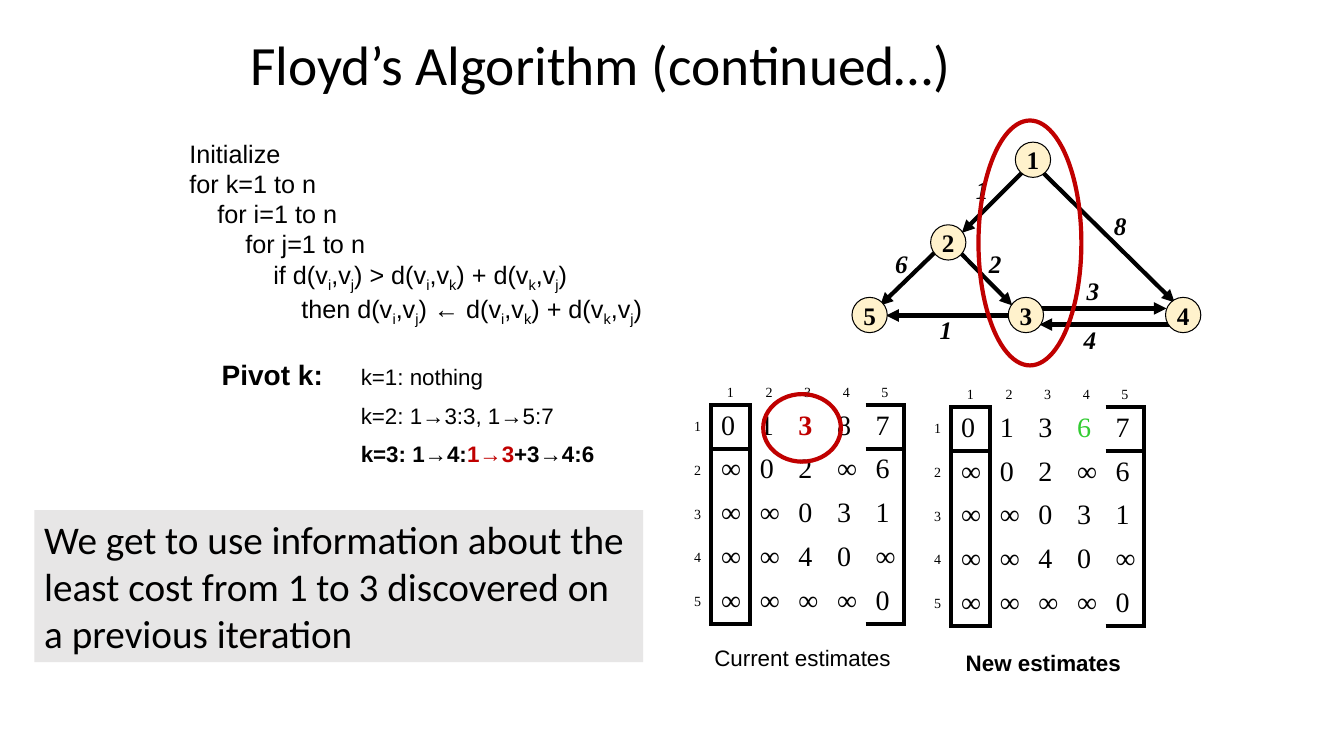
from lxml import etree
from pptx import Presentation
from pptx.dml.color import RGBColor
from pptx.enum.shapes import MSO_CONNECTOR, MSO_SHAPE
from pptx.enum.text import MSO_ANCHOR, MSO_AUTO_SIZE, PP_ALIGN
from pptx.oxml.ns import qn
from pptx.util import Inches, Pt

OVAL, RECTANGLE = MSO_SHAPE.OVAL, MSO_SHAPE.RECTANGLE
STRAIGHT = MSO_CONNECTOR.STRAIGHT
TOP, MIDDLE, BOTTOM = MSO_ANCHOR.TOP, MSO_ANCHOR.MIDDLE, MSO_ANCHOR.BOTTOM
LEFT, CENTER, RIGHT = PP_ALIGN.LEFT, PP_ALIGN.CENTER, PP_ALIGN.RIGHT
BLACK = RGBColor(0x00, 0x00, 0x00)
WHITE = RGBColor(0xFF, 0xFF, 0xFF)
RED = RGBColor(0xC0, 0x00, 0x00)
GREEN = RGBColor(0x33, 0xCC, 0x33)
CREAM = RGBColor(0xFF, 0xF2, 0xCC)
GREY = RGBColor(0xE7, 0xE6, 0xE6)
PLAIN_TABLE = "{2D5ABB26-0587-4C30-8999-92F81FD0307C}"

HEADING = {"name": "Calibri", "size": Pt(39.6), "bold": False}
CALLOUT = {"name": "Calibri", "size": Pt(28)}
CODE = {"name": "Arial", "size": Pt(18)}
NOTE = {"name": "Arial", "size": Pt(16)}
BOLD_NOTE = {**NOTE, "bold": True}
PIVOT = {"name": "Arial", "size": Pt(20), "bold": True}
NODE = {"name": "Times New Roman", "size": Pt(18), "bold": True}
WEIGHT = {**NODE, "italic": True}
INDEX = {"name": "Times New Roman", "size": Pt(10)}
ENTRY = {"name": "Times New Roman", "size": Pt(20), "bold": False}


def add_span(para, text, look, color=BLACK):
    span = para.add_run()
    span.text = text
    for name, value in look.items():
        setattr(span.font, name, value)
    span.font.color.rgb = color
    return span


def add_box(shapes, left, top, width, height):
    box = shapes.add_textbox(Inches(left), Inches(top), Inches(width), Inches(height))
    box.text_frame.word_wrap = True
    return box.text_frame


deck = Presentation()
deck.slide_width, deck.slide_height = Inches(13.33), Inches(7.5)
page = deck.slides.add_slide(deck.slide_layouts[5])

title = page.shapes.title
title.left, title.top, title.width, title.height = map(Inches, (2.38, 0.37, 8.5, 0.59))
title.text_frame.auto_size = MSO_AUTO_SIZE.NONE
title.text_frame.vertical_anchor = MIDDLE
title_para = title.text_frame.paragraphs[0]
title_para.alignment, title_para.line_spacing = LEFT, 0.9
add_span(title_para, "Floyd’s Algorithm (continued…)", HEADING)

# An underscore puts the next letter below the line
code_lines = [
    "Initialize",
    "for k=1 to n",
    "    for i=1 to n",
    "        for j=1 to n",
    "            if d(v_i,v_j) > d(v_i,v_k) + d(v_k,v_j)",
    "                then d(v_i,v_j) ← d(v_i,v_k) + d(v_k,v_j)",
]
code_frame = add_box(page.shapes, 1.78, 1.32, 6.41, 1.9)
for number, line in enumerate(code_lines):
    para = code_frame.add_paragraph() if number else code_frame.paragraphs[0]
    start, *pieces = line.split("_")
    add_span(para, start, CODE)
    for piece in pieces:
        subscript = add_span(para, piece[0], CODE)
        subscript._r.get_or_add_rPr().set("baseline", "-25000")
        add_span(para, piece[1:], CODE)

notes = [
    (2.1, 3.5, 1.22, 0.43, PIVOT, LEFT, [("Pivot k:", BLACK)]),
    (3.48, 3.55, 3.74, 0.37, NOTE, LEFT, [("k=1: nothing", BLACK)]),
    (3.48, 3.94, 4.24, 0.37, NOTE, LEFT, [("k=2: 1→3:3, 1→5:7", BLACK)]),
    (3.48, 4.32, 3.12, 0.37, BOLD_NOTE, LEFT,
     [("k=3: 1→4:", BLACK), ("1→3", RED), ("+3→4:6", BLACK)]),
    (6.96, 6.34, 2, 0.37, NOTE, CENTER, [("Current estimates", BLACK)]),
    (9.48, 6.39, 1.99, 0.37, BOLD_NOTE, LEFT, [("New estimates", BLACK)]),
]
for left, top, width, height, look, alignment, spans in notes:
    para = add_box(page.shapes, left, top, width, height).paragraphs[0]
    para.alignment = alignment
    for text, color in spans:
        add_span(para, text, look, color)

graph = page.shapes.add_group_shape().shapes
edges = [
    (9.39, 2.39, 8.73, 3.03), (10, 3.13, 8.79, 3.13), (11.64, 3.22, 10.31, 3.22),
    (10.24, 3.06, 11.57, 3.06), (9.37, 2.35, 10.04, 3.03), (10.18, 1.67, 9.54, 2.31),
    (10.26, 1.63, 11.65, 3),
]
for ends in edges:
    edge = graph.add_connector(STRAIGHT, *map(Inches, ends))
    edge.line.color.rgb, edge.line.width = BLACK, Pt(3)
    etree.SubElement(edge.line._get_or_add_ln(), qn("a:tailEnd"), type="triangle")
    etree.SubElement(edge._element.spPr, qn("a:effectLst"))

nodes = [("1", 10.07, 1.41), ("2", 9.23, 2.23), ("3", 10, 2.95), ("4", 11.56, 2.95), ("5", 8.45, 2.95)]
for name, left, top in nodes:
    node = graph.add_shape(OVAL, Inches(left), Inches(top), Inches(0.35), Inches(0.35))
    node.shadow.inherit = False
    node.fill.solid()
    node.fill.fore_color.rgb = CREAM
    node.line.color.rgb, node.line.width = BLACK, Pt(0.75)
    frame = node.text_frame
    frame.margin_left = frame.margin_right = frame.margin_top = frame.margin_bottom = 0
    frame.word_wrap, frame.vertical_anchor = False, MIDDLE
    frame.paragraphs[0].alignment = CENTER
    add_span(frame.paragraphs[0], name, NODE)

weights = [
    ("1", 9.58, 1.68), ("6", 8.78, 2.41), ("1", 9.22, 3.07), ("3", 10.68, 2.68),
    ("4", 10.65, 3.17), ("2", 9.71, 2.41), ("8", 10.95, 2.04),
]
for weight, left, top in weights:
    add_span(add_box(graph, left, top, 0.38, 0.4).paragraphs[0], weight, WEIGHT)

shared_rows = ["∞02∞6", "∞∞031", "∞∞40∞", "∞∞∞∞0"]
matrices = [
    (6.67, 3.75, "01387", None, (1, 3), RED, True),
    (9.05, 3.77, "01367", WHITE, (1, 4), GREEN, False),
]
for left, top, first_row, fill, marked, mark_color, mark_bold in matrices:
    holder = page.shapes.add_table(6, 6, Inches(left), Inches(top), Inches(2.3), Inches(2.42))
    matrix = holder.table
    matrix.first_row = matrix.horz_banding = False
    matrix._tbl.tblPr.find(qn("a:tableStyleId")).text = PLAIN_TABLE
    for column in matrix.columns:
        column.width = Inches(2.3 / 6)
    for number, row in enumerate(matrix.rows):
        row.height = Inches(0.43 if number else 0.27)
    grid = [" 12345"] + [f"{n}{row}" for n, row in enumerate([first_row] + shared_rows, 1)]
    for row, texts in enumerate(grid):
        for col, text in enumerate(texts):
            cell = matrix.cell(row, col)
            borders = {
                "lnL": row and col == 1,
                "lnR": row and col in (0, 5),
                "lnT": row == 1 and col in (1, 5),
                "lnB": row in (0, 5) and col in (1, 5),
            }
            for side, shown in borders.items():
                if shown:
                    border = etree.SubElement(cell._tc.get_or_add_tcPr(), qn(f"a:{side}"), w=str(Pt(3)))
                    paint = etree.SubElement(border, qn("a:solidFill"))
                    etree.SubElement(paint, qn("a:srgbClr"), val=str(BLACK))
            if fill and row and col:
                cell.fill.solid()
                cell.fill.fore_color.rgb = fill
            else:
                cell.fill.background()
            cell.vertical_anchor = BOTTOM if row == 0 else TOP if col else MIDDLE
            para = cell.text_frame.paragraphs[0]
            para.alignment = CENTER if row == 0 else LEFT if col else RIGHT
            if (row, col) == marked:
                add_span(para, text, {**ENTRY, "bold": mark_bold}, mark_color)
            elif (row, col) == (0, 0):
                para.font.size = Pt(10)
            else:
                add_span(para, text, ENTRY if row and col else INDEX)

for ring_place in [(9, 1.9, 2.43, 1.02), (7.62, 3.86, 0.67, 0.77)]:
    ring = page.shapes.add_shape(OVAL, *map(Inches, ring_place))
    ring.rotation = 270
    ring.shadow.inherit = False
    ring.fill.background()
    ring.line.color.rgb, ring.line.width = RED, Pt(3)

callout = page.shapes.add_shape(RECTANGLE, Inches(0.34), Inches(5.06), Inches(6.04), Inches(1.51))
callout.shadow.inherit = False
callout.fill.solid()
callout.fill.fore_color.rgb = GREY
callout.line.fill.background()
callout.text_frame.word_wrap, callout.text_frame.vertical_anchor = True, TOP
callout_para = callout.text_frame.paragraphs[0]
callout_para.alignment = LEFT
add_span(callout_para, "We get to use information about the least cost from 1 to 3 "
         "discovered on a previous iteration", CALLOUT)

deck.save("out.pptx")
